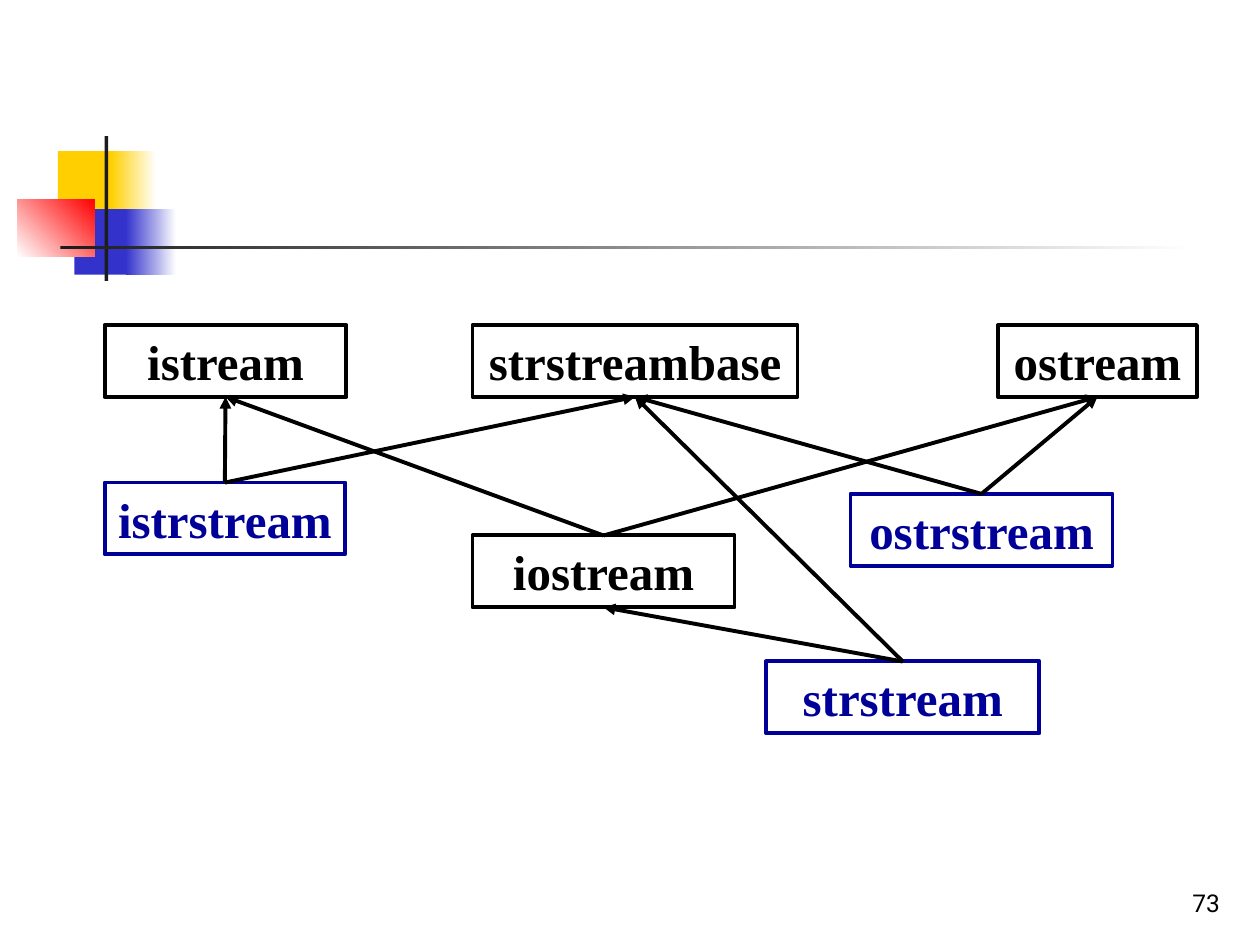
import pptx
import pptx.dml.color
import pptx.enum.shapes
import pptx.enum.text
import pptx.oxml
import pptx.oxml.ns
import pptx.util
from pptx.util import Inches

COLORS = {
    "black": "000000", "navy": "000099", "white": "FFFFFF", "yellow": "FFCF01",
    "blue": "3333CC", "red": "FF0000", "charcoal": "1C1C1C",
}
CLASS_HEIGHT = 0.57
CLASSES = {
    "istream": (0.83, 2.58, 1.92, "black"),
    "strstreambase": (3.75, 2.58, 2.58, "black"),
    "ostream": (7.92, 2.58, 1.58, "black"),
    "istrstream": (0.83, 3.83, 1.91, "navy"),
    "iostream": (3.75, 4.25, 2.08, "black"),
    "ostrstream": (6.75, 3.92, 2.08, "navy"),
    "strstream": (6.08, 5.25, 2.17, "navy"),
}
PARENTS = {
    "istrstream": ("istream", "strstreambase"),
    "iostream": ("istream", "ostream"),
    "ostrstream": ("strstreambase", "ostream"),
    "strstream": ("iostream", "strstreambase"),
}
DECORATION = [
    (0.46, 1.2, 0.48, 0.52, ("yellow",), 0),
    (0.88, 1.2, 0.36, 0.52, ("yellow", "white"), 0),
    (0.59, 1.66, 0.46, 0.52, ("blue",), 0),
    (1, 1.66, 0.4, 0.52, ("blue", "white"), 0),
    (0.14, 1.58, 0.61, 0.46, ("white", "red"), 45),
    (0.83, 1.08, 0.03, 1.15, ("charcoal",), 0),
    (0.48, 1.95, 9, 0.03, ("charcoal", "white"), 0),
]


def rgb(name):
    """Return the named colour."""
    return pptx.dml.color.RGBColor.from_string(COLORS[name])


def write_text(shape, text, *, font, size, color="black", bold=False, align="CENTER",
               anchor="MIDDLE", wrap=False):
    """Write one formatted paragraph into a shape."""
    frame = shape.text_frame
    frame.word_wrap = wrap
    frame.vertical_anchor = getattr(pptx.enum.text.MSO_ANCHOR, anchor)
    paragraph = frame.paragraphs[0]
    paragraph.alignment = getattr(pptx.enum.text.PP_ALIGN, align)
    run = paragraph.add_run()
    run.text = text
    run.font.name = font
    run.font.size = pptx.util.Pt(size)
    run.font.bold = bold
    run.font.color.rgb = rgb(color)


def add_rectangle(slide, left, top, width, height):
    """Add a rectangle without a shadow."""
    shape = slide.shapes.add_shape(
        pptx.enum.shapes.MSO_SHAPE.RECTANGLE,
        Inches(left), Inches(top), Inches(width), Inches(height))
    shape.shadow.inherit = False
    return shape


def add_decoration(slide, left, top):
    """Add the coloured squares and crossing bars, offset from a corner."""
    for x, y, width, height, colors, angle in DECORATION:
        shape = add_rectangle(slide, left + x, top + y, width, height)
        shape.line.fill.background()
        if len(colors) == 1:
            shape.fill.solid()
            shape.fill.fore_color.rgb = rgb(colors[0])
        else:
            shape.fill.gradient()
            shape.fill.gradient_angle = angle
            for stop, color in zip(shape.fill.gradient_stops, colors):
                stop.color.rgb = rgb(color)


def add_class(slide, name, left, top, width, color):
    """Add one outlined class box."""
    shape = add_rectangle(slide, left, top, width, CLASS_HEIGHT)
    shape.fill.background()
    shape.line.color.rgb = rgb(color)
    shape.line.width = pptx.util.Pt(2.25)
    write_text(shape, name, font="Times New Roman", size=28, color=color, bold=True)
    return shape


def add_inheritance(slide, child, parent):
    """Join the top of a child to the bottom of its parent with an arrow."""
    connector = slide.shapes.add_connector(
        pptx.enum.shapes.MSO_CONNECTOR.STRAIGHT, 0, 0, 0, 0)
    connector.begin_connect(child, 0)
    connector.end_connect(parent, 2)
    connector.line.color.rgb = rgb("black")
    connector.line.width = pptx.util.Pt(2.25)
    arrowhead = pptx.oxml.parse_xml(
        f'<a:tailEnd {pptx.oxml.ns.nsdecls("a")} type="triangle"/>')
    connector.line._get_or_add_ln().append(arrowhead)
    effects = pptx.oxml.parse_xml(f'<a:effectLst {pptx.oxml.ns.nsdecls("a")}/>')
    connector._element.spPr.append(effects)


def add_hierarchy(slide, left, top):
    """Add the class boxes and inheritance arrows, offset from a corner."""
    boxes = {
        name: add_class(slide, name, left + x, top + y, width, color)
        for name, (x, y, width, color) in CLASSES.items()
    }
    for child, parents in PARENTS.items():
        for parent in parents:
            add_inheritance(slide, boxes[child], boxes[parent])


def add_page_number(slide, left, top, width, height):
    """Add the page number at the lower right of its box."""
    shape = slide.shapes.add_textbox(
        Inches(left), Inches(top), Inches(width), Inches(height))
    write_text(shape, "73", font="Roboto", size=14, align="RIGHT", anchor="BOTTOM",
               wrap=True)


def main():
    """Build and save the class hierarchy slide."""
    presentation = pptx.Presentation()
    presentation.slide_width = Inches(10)
    presentation.slide_height = Inches(7.5)
    slide = presentation.slides.add_slide(presentation.slide_layouts[6])
    add_decoration(slide, 0, 0)
    add_page_number(slide, 7.7, 6.83, 2.08, 0.5)
    add_hierarchy(slide, 0, 0)
    presentation.save("out.pptx")


if __name__ == "__main__":
    main()
